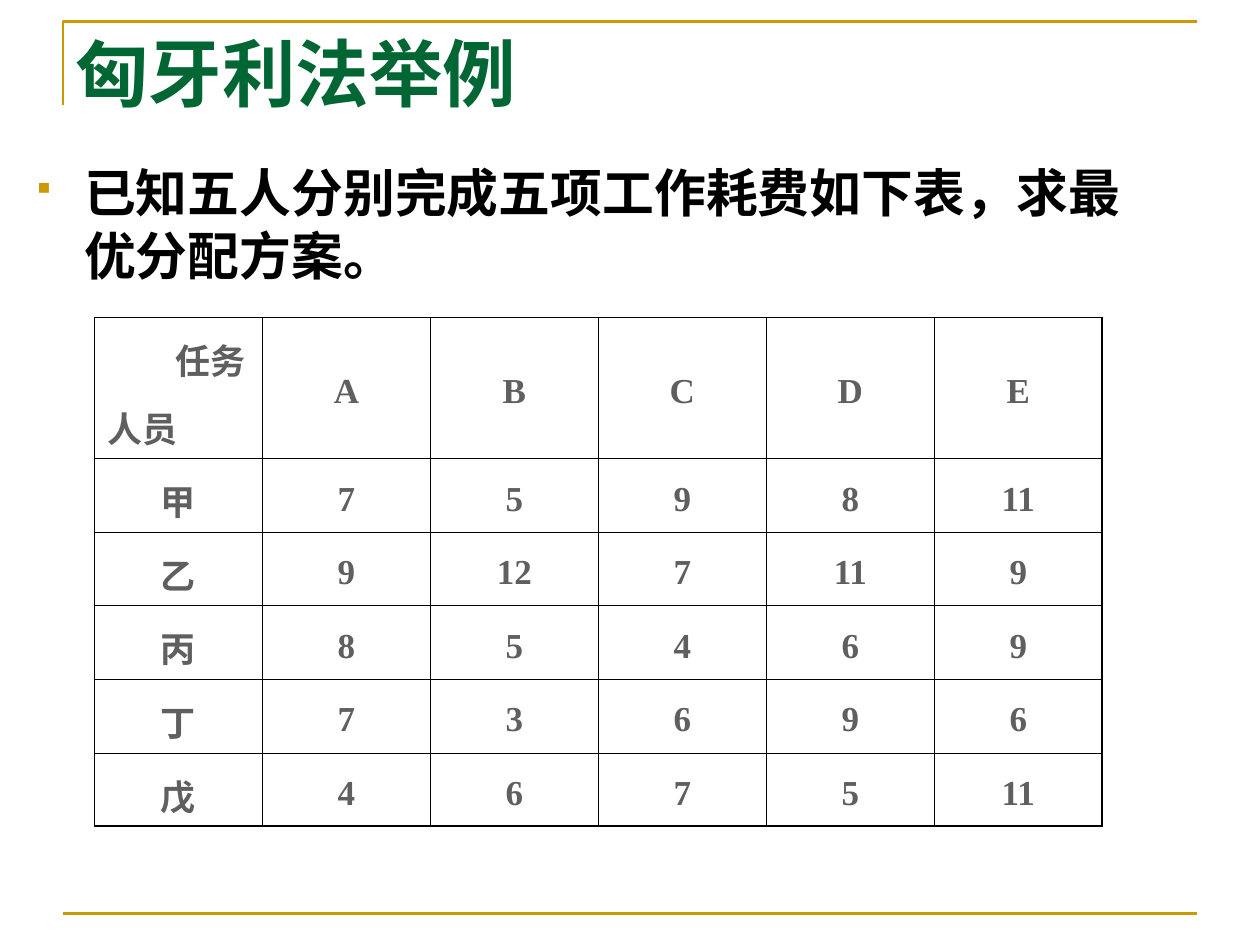
from lxml import etree
from pptx import Presentation
from pptx.dml.color import RGBColor
from pptx.enum import text
from pptx.oxml import ns
from pptx.util import Inches, Pt

COLORS = {"gold": "CC9900", "green": "006633", "black": "000000", "gray": "5F5F5F"}
FONT = "Times New Roman"
ROWS = [
    ["任务\n人员", "A", "B", "C", "D", "E"],
    ["甲", "7", "5", "9", "8", "11"],
    ["乙", "9", "12", "7", "11", "9"],
    ["丙", "8", "5", "4", "6", "9"],
    ["丁", "7", "3", "6", "9", "6"],
    ["戊", "4", "6", "7", "5", "11"],
]
TABLE_HEIGHT, HEADER_HEIGHT = 4.04, 1.12
THIN, THICK = 0.45, 1.25


def color(name):
    return RGBColor.from_string(COLORS[name])


def add_element(parent, tag, **attributes):
    return etree.SubElement(parent, ns.qn(tag), attributes)


def format_paragraph(paragraph, size, color_name, **formats):
    for name, value in formats.items():
        setattr(paragraph, name, value)
    for name, value in {"name": FONT, "size": Pt(size), "bold": True}.items():
        setattr(paragraph.font, name, value)
        for run in paragraph.runs:
            setattr(run.font, name, value)
    for run in paragraph.runs:
        run.font.color.rgb = color(color_name)


def add_text(slide, content, box):
    shape = slide.shapes.add_textbox(*map(Inches, box))
    shape.text_frame.word_wrap = True
    paragraph = shape.text_frame.paragraphs[0]
    paragraph.text = content
    return paragraph


def add_bullet(paragraph, indent):
    """Add a gold square, which is the § sign of Wingdings."""
    properties = paragraph._p.get_or_add_pPr()
    properties.set("marL", str(Inches(indent)))
    properties.set("indent", str(-Inches(indent)))
    bullet_color = add_element(properties, "a:buClr")
    add_element(bullet_color, "a:srgbClr", val=COLORS["gold"])
    add_element(properties, "a:buSzPct", val="65000")
    add_element(properties, "a:buFont", typeface="Wingdings", charset="2")
    add_element(properties, "a:buChar", char="§")


def add_frame(slide):
    """Draw the corner rule around the title and the rule at the foot."""
    builder = slide.shapes.build_freeform(Inches(0.5), Inches(0.83), scale=1.0)
    corner = [(Inches(0.5), Inches(0.17)), (Inches(9.5), Inches(0.17))]
    builder.add_line_segments(corner, close=False)
    title_rule = builder.convert_to_shape()
    title_rule.shadow.inherit = False
    title_rule.fill.background()
    foot_rule = slide.shapes.add_connector(
        1, Inches(0.5), Inches(7.25), Inches(9.5), Inches(7.25))
    add_element(foot_rule._element.spPr, "a:effectLst")
    for rule in (title_rule, foot_rule):
        rule.line.color.rgb = color("gold")
        rule.line.width = Pt(1.5)


def set_borders(cell, widths):
    properties = cell._tc.get_or_add_tcPr()
    for side, width in widths.items():
        line = add_element(properties, f"a:ln{side}", w=str(Pt(width)))
        fill = add_element(line, "a:solidFill")
        add_element(fill, "a:srgbClr", val=COLORS["black"])


def add_cost_table(slide):
    last = len(ROWS) - 1
    table = slide.shapes.add_table(
        len(ROWS), len(ROWS[0]), Inches(0.75), Inches(2.52),
        Inches(8), Inches(TABLE_HEIGHT)).table
    table.first_row = table.horz_banding = False
    body_height = (TABLE_HEIGHT - HEADER_HEIGHT) / last
    for index, row in enumerate(table.rows):
        row.height = Inches(body_height if index else HEADER_HEIGHT)
    for row, values in enumerate(ROWS):
        for column, value in enumerate(values):
            cell = table.cell(row, column)
            cell.text = value
            cell.vertical_anchor = text.MSO_ANCHOR.MIDDLE
            set_borders(cell, {
                "L": THIN if column else THICK,
                "R": THICK if column == last else THIN,
                "T": THIN if row else THICK,
                "B": THICK if row == last else THIN,
            })
            cell.fill.background()
            for paragraph in cell.text_frame.paragraphs:
                format_paragraph(paragraph, 20, "gray", line_spacing=1.2,
                                 alignment=text.PP_ALIGN.CENTER)
    tasks, people = table.cell(0, 0).text_frame.paragraphs
    tasks._p.get_or_add_pPr().set("marL", str(Inches(0.51)))
    people.alignment = text.PP_ALIGN.LEFT
    people.space_before = Pt(3.7)


def main():
    presentation = Presentation()
    presentation.slide_width, presentation.slide_height = Inches(10), Inches(7.5)
    slide = presentation.slides.add_slide(presentation.slide_layouts[6])
    add_frame(slide)
    title = add_text(slide, "匈牙利法举例", (0.5, 0.17, 9, 1))
    format_paragraph(title, 42, "green")
    task = add_text(slide, "已知五人分别完成五项工作耗费如下表，求最优分配方案。",
                    (0.19, 1.23, 8.9, 1.1))
    add_bullet(task, 0.38)
    format_paragraph(task, 29.6, "black")
    add_cost_table(slide)
    presentation.save("out.pptx")


if __name__ == "__main__":
    main()
